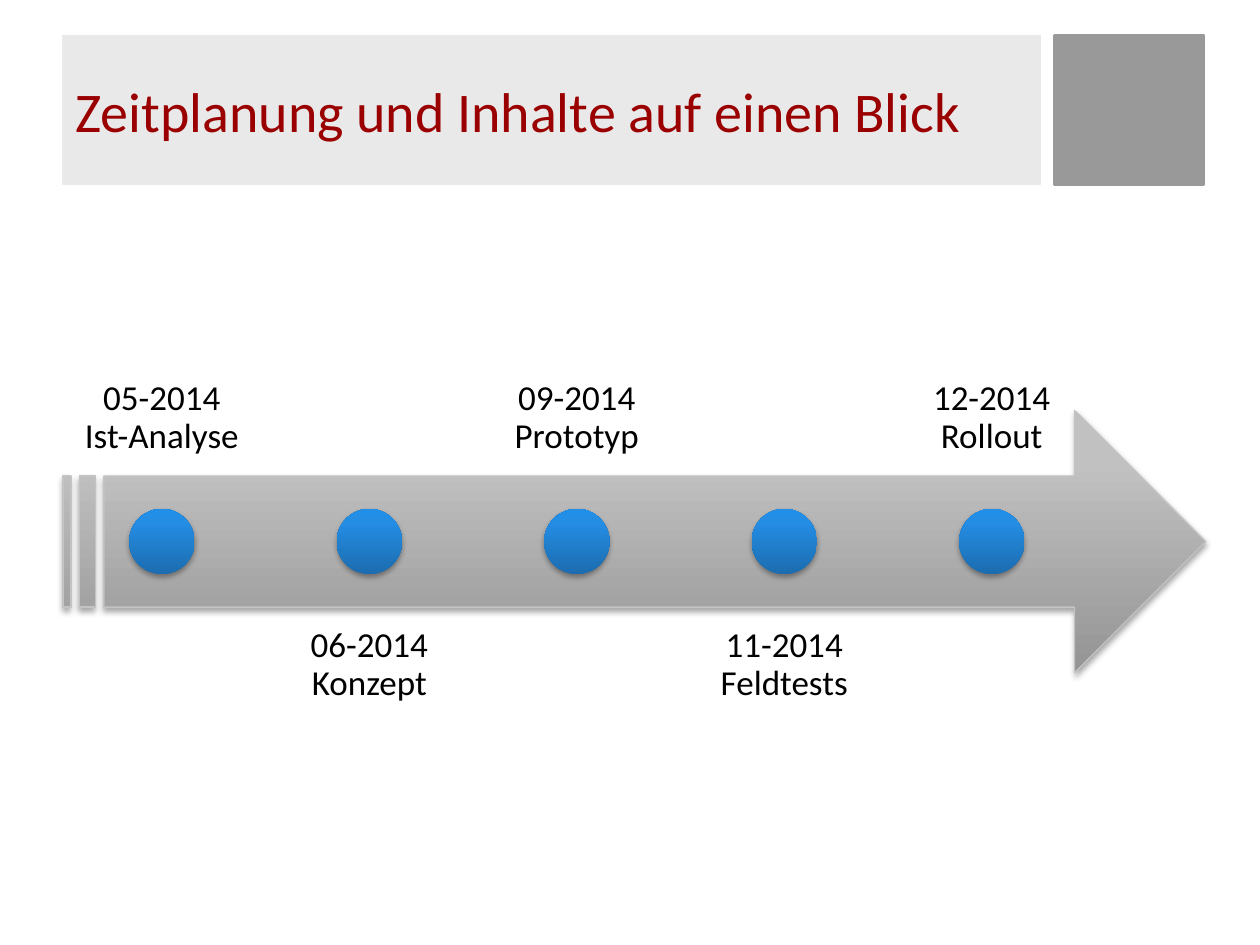
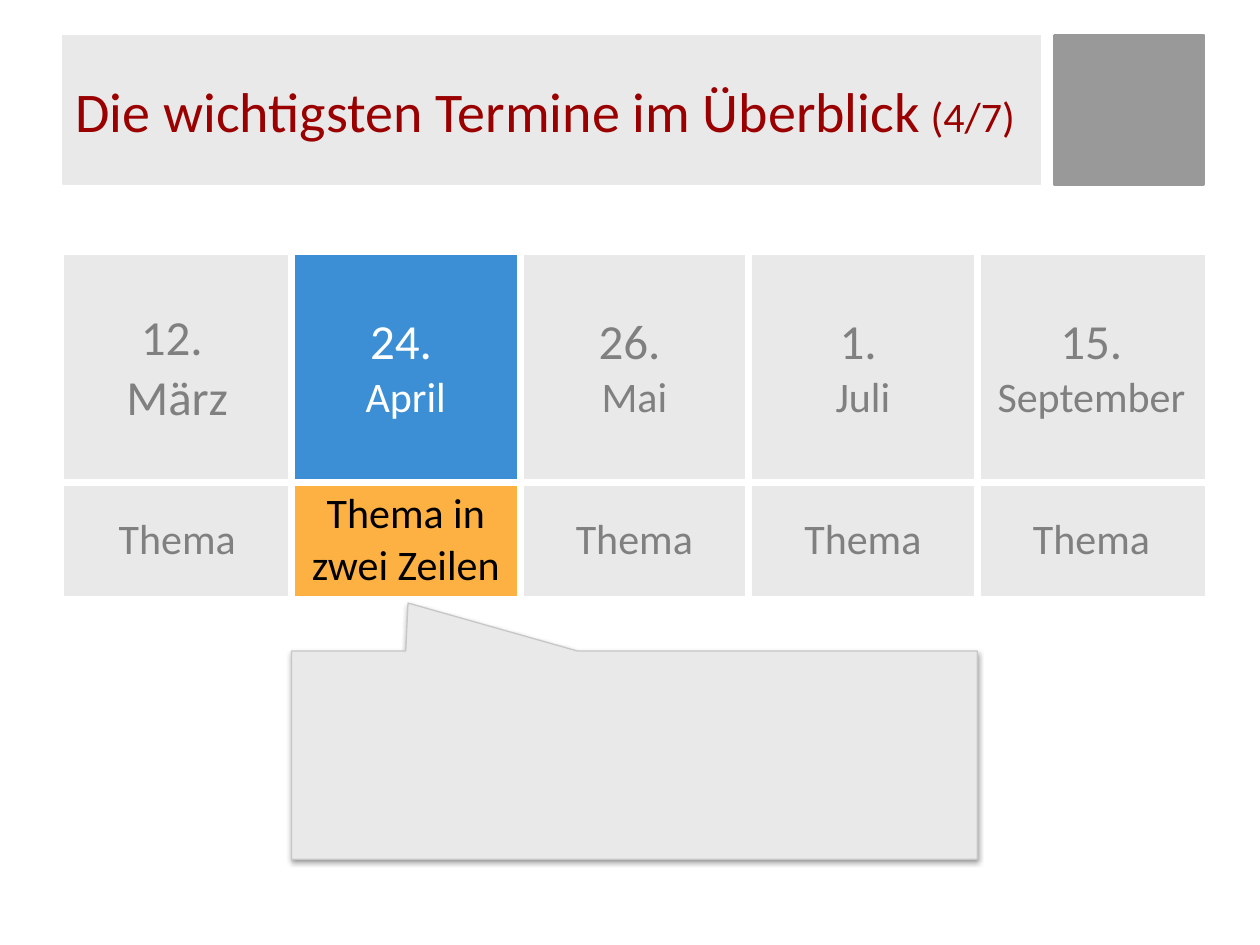
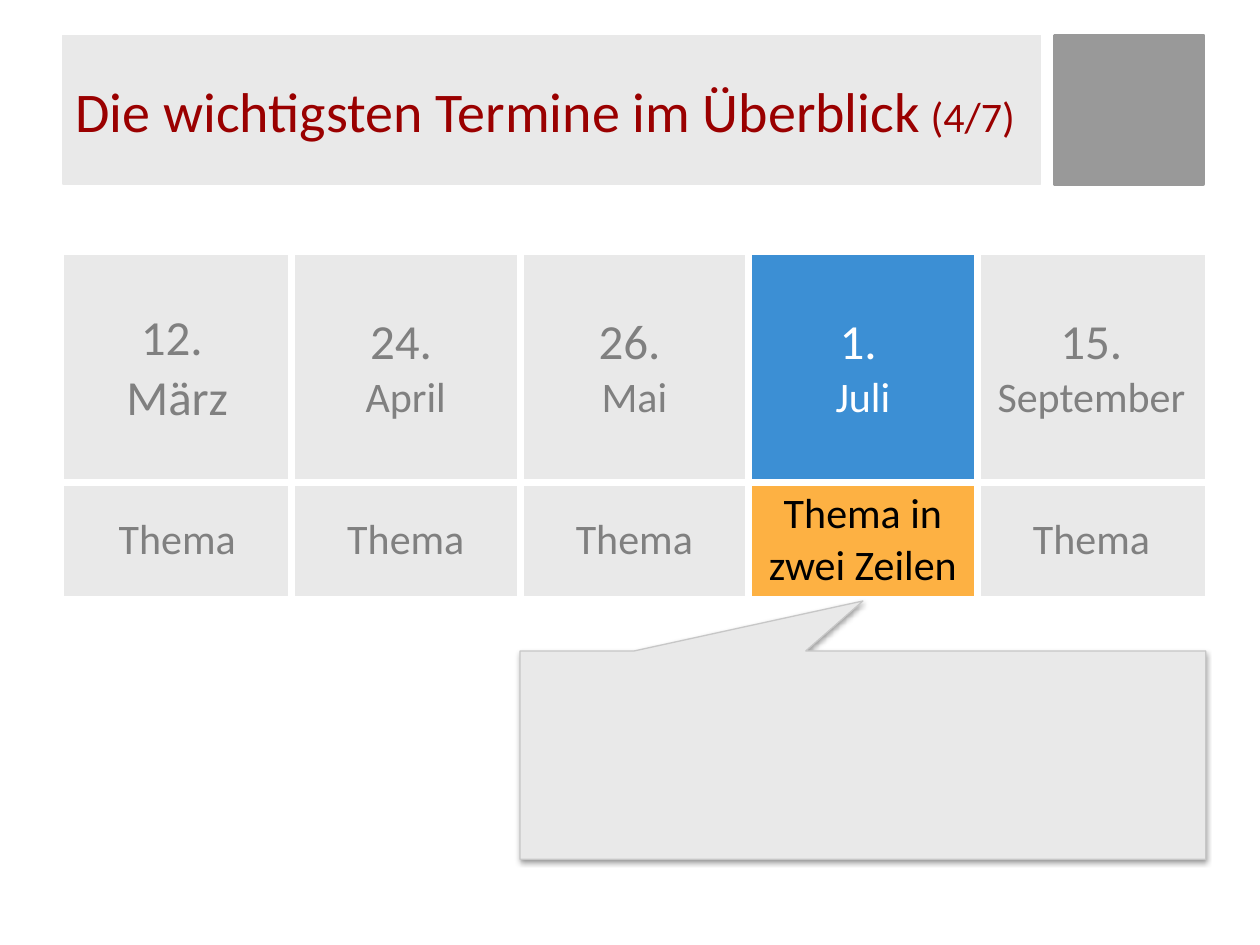
from copy import deepcopy

from pptx import Presentation
from pptx.dml.color import RGBColor
from pptx.enum.shapes import MSO_SHAPE as SHAPE
from pptx.enum.text import MSO_ANCHOR as ANCHOR, PP_ALIGN as ALIGN
from pptx.oxml.ns import qn
from pptx.util import Pt
from lxml.etree import SubElement

FONT = "Calibri"
RED = RGBColor(0x9A, 0x00, 0x00)
BLACK = RGBColor(0x00, 0x00, 0x00)
WHITE = RGBColor(0xFF, 0xFF, 0xFF)
GREY = RGBColor(0x80, 0x80, 0x80)
LIGHT = RGBColor(0xE9, 0xE9, 0xE9)
MID = RGBColor(0x99, 0x99, 0x99)
ARROW_EDGE = RGBColor(0xC3, 0xC3, 0xC3)
CALLOUT_EDGE = RGBColor(0xC7, 0xC7, 0xC7)
BLUE = RGBColor(0x3C, 0x8F, 0xD4)
ORANGE = RGBColor(0xFD, 0xB1, 0x43)
ARROW_STOPS = [RGBColor(0x94, 0x94, 0x94), RGBColor(0xC1, 0xC1, 0xC1), RGBColor(0xC2, 0xC2, 0xC2)]
DOT_STOPS = [RGBColor(0x1C, 0x6C, 0xAF), RGBColor(0x24, 0x8D, 0xE4), RGBColor(0x21, 0x8E, 0xE8)]

LEFT, WIDTH = 36, 653
COLUMN = WIDTH / 5
BAND_TOP, BAND_HEIGHT = 20.2, 85

MILESTONES = ["05-2014\nIst-Analyse", "06-2014\nKonzept", "09-2014\nPrototyp",
              "11-2014\nFeldtests", "12-2014\nRollout"]
DATES = [("12.", " \nMärz", 28), ("24.", " \nApril", 24), ("26.", " \nMai", 24),
         ("1.", " \nJuli", 24), ("15.", " September", 24)]


class Deck:
    """Holds the shared style and the slide being filled."""

    def __init__(self):
        self.prs = Presentation()
        self.prs.slide_width, self.prs.slide_height = Pt(720), Pt(540)
        self.s = None

    def slide(self, title):
        """Start a slide with its band; title is a list of (text, size)."""
        self.s = self.prs.slides.add_slide(self.prs.slide_layouts[6])
        self.shape(SHAPE.RECTANGLE, 602.6, BAND_TOP, BAND_HEIGHT, BAND_HEIGHT, MID, MID, 2)
        sp = self.shape(SHAPE.RECTANGLE, LEFT, BAND_TOP, 558.7, BAND_HEIGHT, LIGHT, LIGHT)
        tf = sp.text_frame
        tf.vertical_anchor = ANCHOR.MIDDLE
        self.runs(tf, [(text, size, RED) for text, size in title], ALIGN.LEFT)

    def shape(self, kind, x, y, w, h, fill, line=None, line_width=0.75, shadow=None):
        """Fill is a colour or three gradient colours from bottom to top."""
        sp = self.s.shapes.add_shape(kind, Pt(x), Pt(y), Pt(w), Pt(h))
        sp.shadow.inherit = False
        if isinstance(fill, list):
            self.gradient(sp, fill)
        else:
            sp.fill.solid()
            sp.fill.fore_color.rgb = fill
        if line is None:
            sp.line.fill.background()
        else:
            sp.line.color.rgb = line
            sp.line.width = Pt(line_width)
        if shadow:
            self.drop_shadow(sp, *shadow)
        return sp

    def gradient(self, sp, colors):
        sp.fill.gradient()
        sp.fill.gradient_angle = 90
        stops = sp._element.spPr.find(qn("a:gradFill")).find(qn("a:gsLst"))
        stops.append(deepcopy(stops[0]))
        for stop, position, color in zip(sp.fill.gradient_stops, (0, 0.8, 1), colors):
            stop.position = position
            stop.color.rgb = color

    def drop_shadow(self, sp, distance, opacity):
        effects = sp._element.spPr.find(qn("a:effectLst"))
        shadow = SubElement(effects, qn("a:outerShdw"), blurRad=str(Pt(3.1)),
                            dist=str(Pt(distance)), dir="5400000", rotWithShape="0")
        color = SubElement(shadow, qn("a:srgbClr"), val=str(BLACK))
        SubElement(color, qn("a:alpha"), val=str(opacity * 1000))

    def runs(self, tf, parts, align=ALIGN.CENTER):
        """Write (text, size, colour) runs into the first paragraph."""
        p = tf.paragraphs[0]
        p.alignment = align
        for text, size, color in parts:
            for i, piece in enumerate(text.split("\n")):
                if i:
                    p.add_line_break()
                r = p.add_run()
                r.text = piece
                r.font.name, r.font.size = FONT, Pt(size)
                r.font.color.rgb = color
        return p

    def label(self, text, x, y, w, h, anchor):
        tf = self.s.shapes.add_textbox(Pt(x), Pt(y), Pt(w), Pt(h)).text_frame
        tf.word_wrap = True
        tf.vertical_anchor = anchor
        tf.margin_left = tf.margin_right = tf.margin_top = tf.margin_bottom = Pt(11.5)
        self.runs(tf, [(text, 20, BLACK)]).line_spacing = 0.9

    def timeline(self, milestones):
        top, height = 234.6, 149.8
        pitch, label_width, label_height, dot = 118.56, 113, 150, 37.4
        middle = top + height / 2
        self.shape(SHAPE.STRIPED_RIGHT_ARROW, LEFT, top, WIDTH, height,
                   ARROW_STOPS, ARROW_EDGE, shadow=(1.8, 35))
        for i, text in enumerate(milestones):
            x = LEFT + i * pitch
            if i % 2:
                y, anchor = middle + height / 4, ANCHOR.TOP
            else:
                y, anchor = middle - height / 4 - label_height, ANCHOR.BOTTOM
            self.label(text, x, y, label_width, label_height, anchor)
            self.shape(SHAPE.OVAL, x + (label_width - dot) / 2, middle - dot / 2, dot, dot,
                       DOT_STOPS, shadow=(1.8, 35))

    def cell(self, table, row, col, parts, fill):
        cell = table.cell(row, col)
        cell.vertical_anchor = ANCHOR.MIDDLE
        self.runs(cell.text_frame, parts)
        outer = {"L": col == 0, "R": col == len(table.columns) - 1,
                 "T": row == 0, "B": row == len(table.rows) - 1}
        for side, is_outer in outer.items():
            ln = SubElement(cell._tc.get_or_add_tcPr(), qn(f"a:ln{side}"),
                            w=str(Pt(1 if is_outer else 4.5)))
            SubElement(SubElement(ln, qn("a:solidFill")), qn("a:srgbClr"), val=str(WHITE))
        cell.fill.solid()
        cell.fill.fore_color.rgb = fill

    def schedule(self, dates, active):
        """Table of dates and topics with the active column highlighted."""
        heights = (130.4, 65.4)
        table = self.s.shapes.add_table(2, len(dates), Pt(LEFT), Pt(145.4),
                                        Pt(WIDTH), Pt(sum(heights))).table
        table.first_row = table.horz_banding = False
        for row, height in zip(table.rows, heights):
            row.height = Pt(height)
        for col, (day, month, month_size) in enumerate(dates):
            table.columns[col].width = Pt(COLUMN)
            if col == active:
                ink, date_fill = WHITE, BLUE
                topic, topic_ink, topic_fill = "Thema in zwei Zeilen", BLACK, ORANGE
            else:
                ink, date_fill = GREY, LIGHT
                topic, topic_ink, topic_fill = "Thema", GREY, LIGHT
            self.cell(table, 0, col, [(day, 28, ink), (month, month_size, ink)], date_fill)
            self.cell(table, 1, col, [(topic, 24, topic_ink)], topic_fill)

    def callout(self, first_column, tip):
        """Box three columns wide; tip is the pointer offset from its centre."""
        sp = self.shape(SHAPE.RECTANGULAR_CALLOUT, LEFT + first_column * COLUMN, 372,
                        3 * COLUMN, 119, LIGHT, CALLOUT_EDGE, shadow=(1.6, 38))
        sp.adjustments[0], sp.adjustments[1] = tip


def main():
    deck = Deck()
    deck.slide([("Zeitplanung und Inhalte auf einen Blick", 32)])
    deck.timeline(MILESTONES)
    for active, first_column, tip in ((1, 1, (-0.33, -0.73)), (3, 2, (0, -0.74))):
        deck.slide([("Die wichtigsten Termine im Überblick", 32), (" (4/7)", 24)])
        deck.schedule(DATES, active)
        deck.callout(first_column, tip)
    deck.prs.save("out.pptx")


if __name__ == "__main__":
    main()
